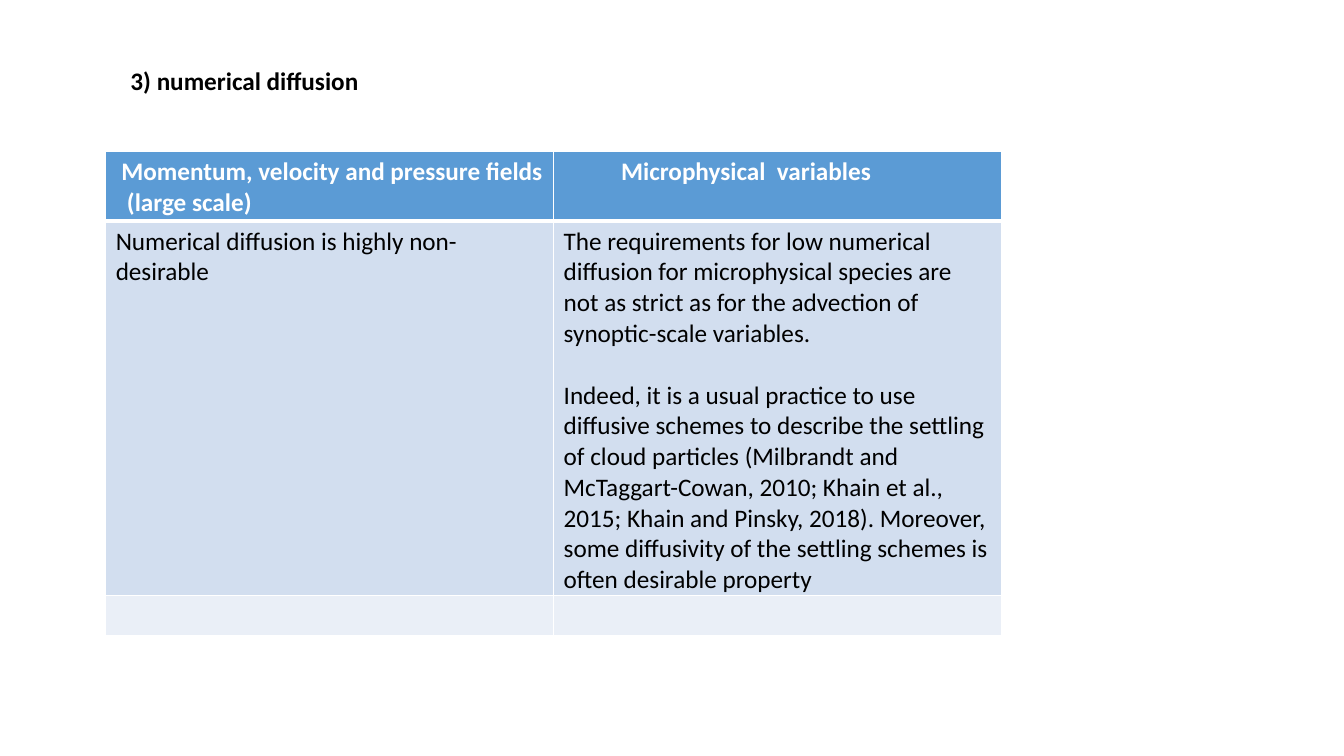
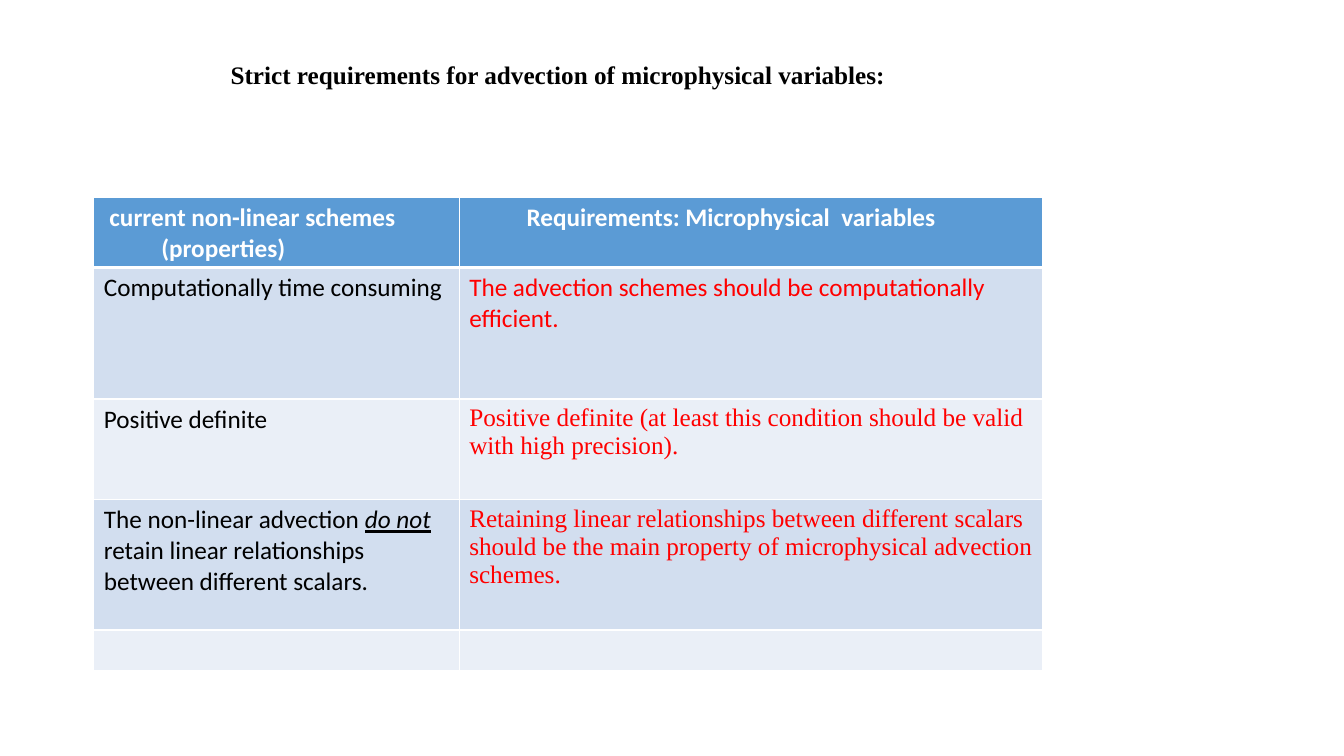
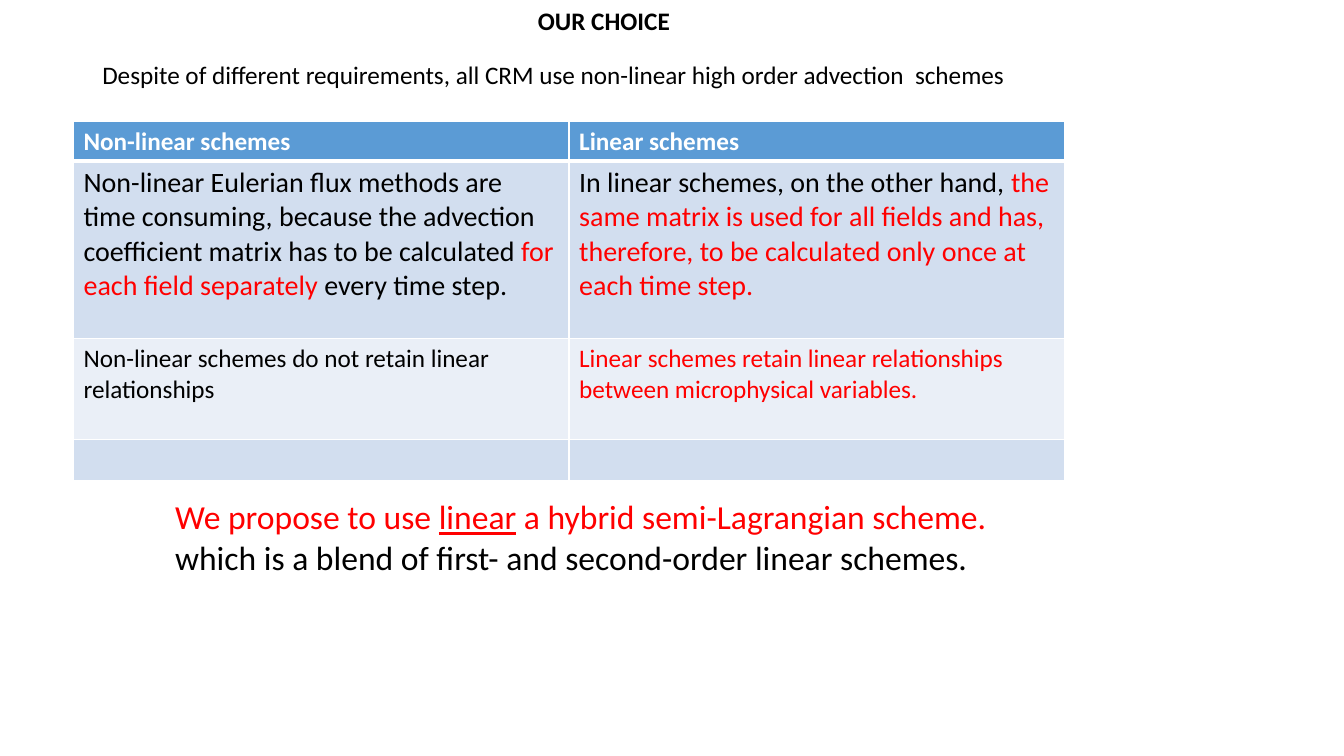
from lxml.etree import SubElement
from pptx import Presentation
from pptx.dml.color import RGBColor
from pptx.enum.text import MSO_ANCHOR as Anchor, MSO_AUTO_SIZE as AutoSize, PP_ALIGN as Align
from pptx.oxml.ns import qn
from pptx.util import Pt

COLORS = {"header": "5B9BD5", "odd": "D2DEEF", "even": "EAEFF7",
          "white": "FFFFFF", "black": "000000", "red": "FF0000"}
SERIF = "Times New Roman"


def write(paragraph, runs, size=18, color="black", bold=False, face="Calibri",
          indent=0, before=0):
    """Fill a paragraph with a string, or with (text, color, underline, italic) runs."""
    font = paragraph.font
    font.size, font.bold, font.name = Pt(size), bold, face
    font.color.rgb = RGBColor.from_string(COLORS[color])
    paragraph.space_before = Pt(before)
    if indent:
        paragraph._p.get_or_add_pPr().set("marL", str(Pt(indent)))
    if isinstance(runs, str):
        runs = [(runs, color, False, False)] if runs else []
    for text, run_color, underline, italic in runs:
        run = paragraph.add_run()
        run.text = text
        if run_color != color:
            run.font.color.rgb = RGBColor.from_string(COLORS[run_color])
        if underline:
            run.font.underline = True
        if italic:
            run.font.italic = True


def border(cell, side, width):
    line = SubElement(cell._tc.get_or_add_tcPr(), qn(f"a:{side}"), w=str(Pt(width)))
    fill = SubElement(line, qn("a:solidFill"))
    SubElement(fill, qn("a:srgbClr"), val=COLORS["white"])


# Content: each table cell is a list of paragraphs
slides = [
    {
        "title": dict(runs="3) numerical diffusion"),
        "title_box": (86, 43, 264, 29),
        "table_at": (75.5, 108), "columns": (320, 320), "rows": (50, 267, 29),
        "header": [
            [dict(runs="Momentum, velocity and pressure fields", indent=4),
             dict(runs="(large scale)", indent=8)],
            [dict(runs="Microphysical  variables", indent=41)],
        ],
        "body": [[
            [dict(runs="Numerical diffusion is highly non-desirable")],
            [dict(runs="The requirements for low numerical diffusion for microphysical "
                       "species are not as strict as for the advection of "
                       "synoptic-scale variables."),
             dict(runs="Indeed, it is a usual practice to use diffusive schemes to "
                       "describe the settling of cloud particles (Milbrandt and "
                       "McTaggart-Cowan, 2010; Khain et al., 2015; Khain and Pinsky, "
                       "2018). Moreover, some diffusivity of the settling schemes is "
                       "often desirable property", before=22)],
        ]],
    },
    {
        "title": dict(runs="Strict requirements for advection of microphysical variables:",
                      face=SERIF),
        "title_box": (71, 17, 655, 45), "title_align": Align.CENTER, "title_spacing": 2,
        "table_at": (67, 141), "columns": (261, 417), "rows": (50, 94, 72, 93, 29),
        "header": [
            [dict(runs="current non-linear schemes", indent=4),
             dict(runs="(properties)", indent=41)],
            [dict(runs="Requirements: Microphysical  variables", indent=41)],
        ],
        "body": [
            [[dict(runs="Computationally time consuming")],
             [dict(runs="The advection schemes should be computationally efficient.",
                   color="red")]],
            [[dict(runs="Positive definite")],
             [dict(runs="Positive definite (at least this condition should be valid "
                        "with high precision).", color="red", face=SERIF)]],
            [[dict(runs=[("The non-linear advection ", "black", False, False),
                         ("do not", "black", True, True),
                         (" retain linear relationships between different scalars.",
                          "black", False, False)])],
             [dict(runs="Retaining linear relationships between different scalars should "
                        "be the main property of microphysical advection schemes.",
                   color="red", face=SERIF)]],
        ],
    },
    {
        "title": dict(runs="OUR CHOICE"),
        "title_box": (377, 0, 116, 29),
        "table_at": (52.5, 87), "columns": (354, 354), "rows": (28, 127, 72, 29),
        "header": [[dict(runs="Non-linear schemes")], [dict(runs="Linear schemes")]],
        "body": [
            [[dict(size=20, runs=[
                ("Non-linear Eulerian flux methods are time consuming, because the "
                 "advection coefficient matrix has to be calculated ",
                 "black", False, False),
                ("for each field separately ", "red", False, False),
                ("every time step.", "black", False, False)])],
             [dict(size=20, runs=[
                 ("In linear schemes, on the other hand, ", "black", False, False),
                 ("the same matrix is used for all fields and has, therefore, to be "
                  "calculated only once at each time step.", "red", False, False)])]],
            [[dict(runs="Non-linear schemes do not retain linear relationships")],
             [dict(runs="Linear schemes retain linear relationships between "
                        "microphysical variables.", color="red")]],
        ],
        "notes": [
            ((66, 39, 665, 29),
             [dict(runs="Despite of different requirements, all CRM use non-linear high "
                        "order advection  schemes")]),
            ((118, 351, 750, 65),
             [dict(size=24, color="red", runs=[
                 ("We propose to use ", "red", False, False),
                 ("linear", "red", True, False),
                 (" a hybrid semi-Lagrangian scheme.", "red", False, False)]),
              dict(size=24, runs="which is a blend of first- and second-order "
                                 "linear schemes.")]),
        ],
    },
]

deck = Presentation()
deck.slide_width, deck.slide_height = Pt(960), Pt(540)

for content in slides:
    slide = deck.slides.add_slide(deck.slide_layouts[5])

    # Title
    title = slide.shapes.title
    title.left, title.top, title.width, title.height = map(Pt, content["title_box"])
    heading = title.text_frame
    heading.auto_size, heading.vertical_anchor = AutoSize.NONE, Anchor.TOP
    write(heading.paragraphs[0], bold=True, **content["title"])
    heading.paragraphs[0].alignment = content.get("title_align", Align.LEFT)
    heading.paragraphs[0].line_spacing = content.get("title_spacing", 1.0)

    # Comparison table, closed by an empty row
    columns, heights = content["columns"], content["rows"]
    left, top = content["table_at"]
    table = slide.shapes.add_table(len(heights), len(columns), Pt(left), Pt(top),
                                   Pt(sum(columns)), Pt(sum(heights))).table
    for column, width in zip(table.columns, columns):
        column.width = Pt(width)
    empty_row = [[dict(runs="")]] * len(columns)
    grid = [content["header"], *content["body"], empty_row]
    for r, (row, height) in enumerate(zip(grid, heights)):
        table.rows[r].height = Pt(height)
        band = "header" if r == 0 else "odd" if r % 2 else "even"
        header_style = dict(bold=True, color="white") if r == 0 else {}
        for c, paragraphs in enumerate(row):
            cell = table.cell(r, c)
            cell.margin_bottom = 0
            for side in ("lnL", "lnR", "lnT", "lnB"):
                under_header = (r, side) in ((0, "lnB"), (1, "lnT"))
                border(cell, side, 3 if under_header else 1)
            cell.fill.solid()
            cell.fill.fore_color.rgb = RGBColor.from_string(COLORS[band])
            for i, paragraph in enumerate(paragraphs):
                frame = cell.text_frame
                target = frame.add_paragraph() if i else frame.paragraphs[0]
                write(target, **paragraph, **header_style)

    # Remarks around the table
    for box, paragraphs in content.get("notes", []):
        remark = slide.shapes.add_textbox(*map(Pt, box)).text_frame
        remark.word_wrap = True
        for i, paragraph in enumerate(paragraphs):
            target = remark.add_paragraph() if i else remark.paragraphs[0]
            write(target, **paragraph)

deck.save("out.pptx")
